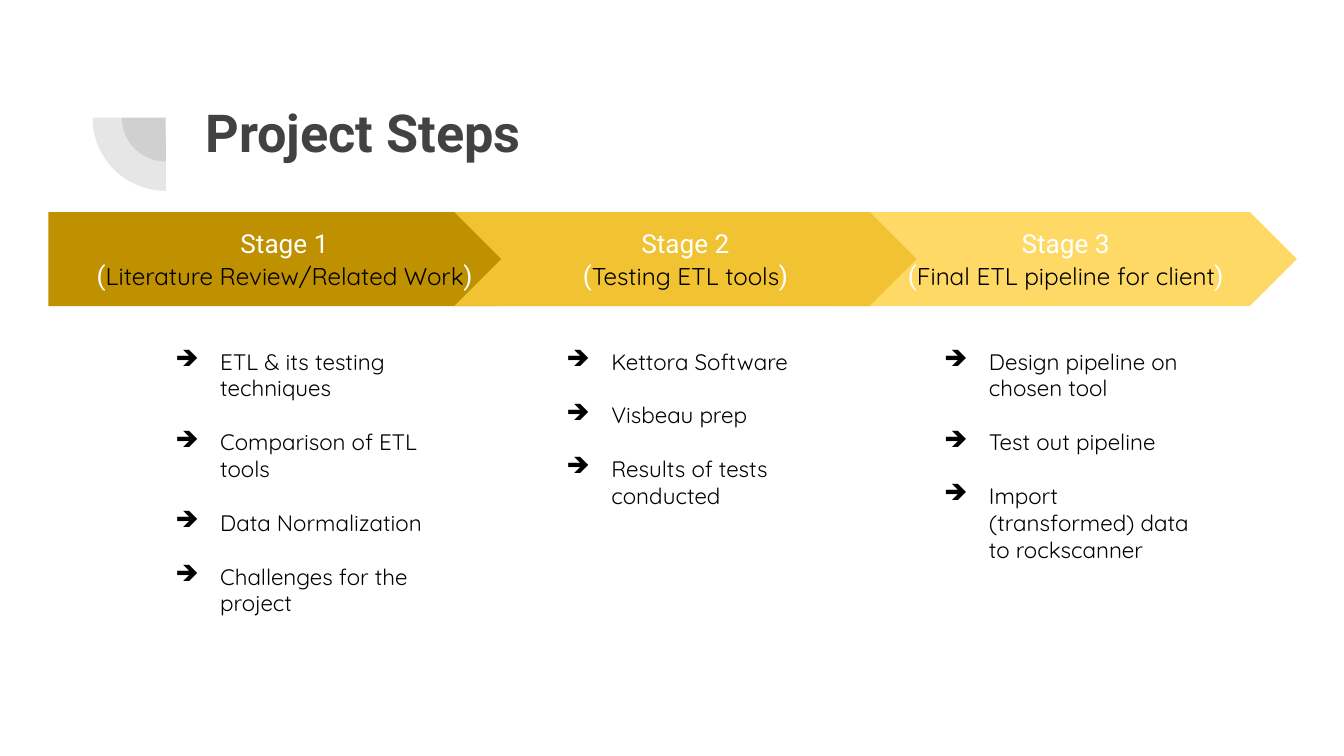
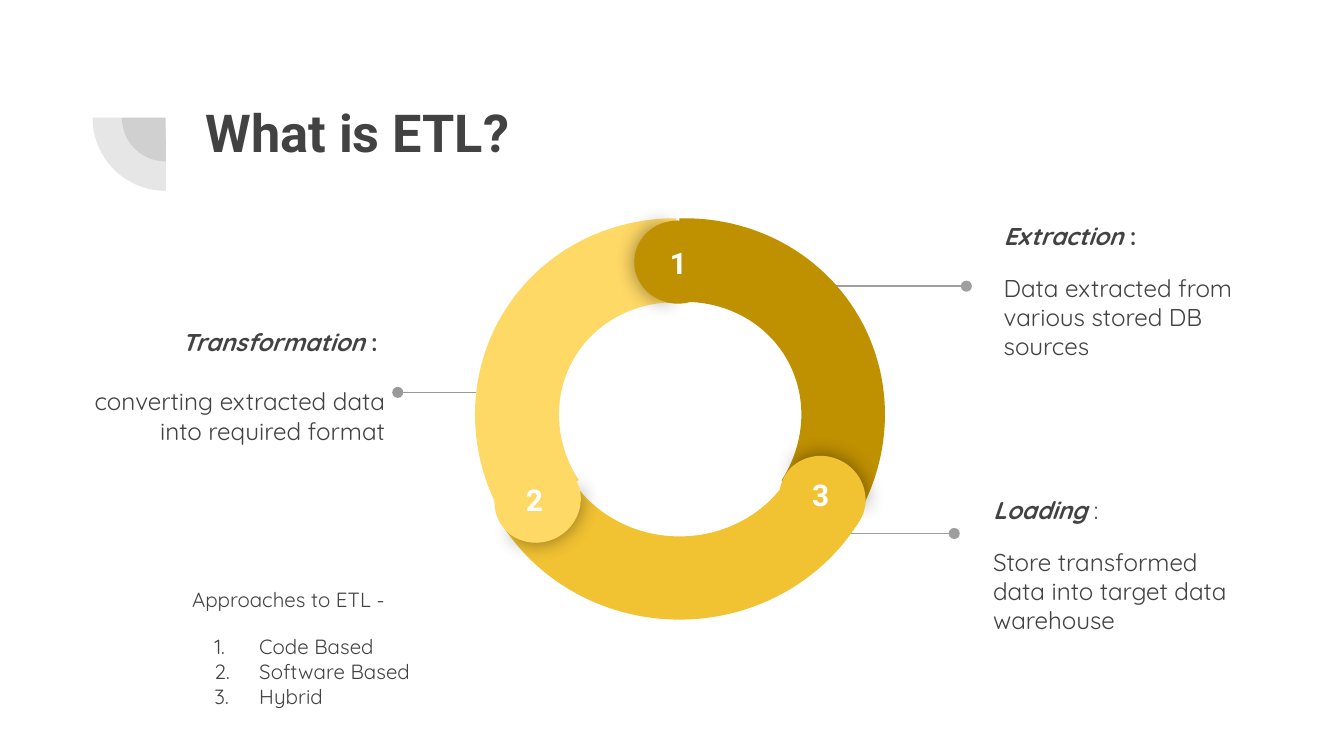
"""Build two slides: the project steps and an overview of ETL."""
import pptx
import pptx.dml.color
import pptx.enum.shapes
import pptx.enum.text
import pptx.oxml.ns
import pptx.util
from lxml import etree

Pt = pptx.util.Pt
RGBColor = pptx.dml.color.RGBColor
SHAPE = pptx.enum.shapes.MSO_SHAPE
ANCHOR = pptx.enum.text.MSO_ANCHOR
ALIGN = pptx.enum.text.PP_ALIGN
qn = pptx.oxml.ns.qn

WHITE = RGBColor(0xFF, 0xFF, 0xFF)
BLACK = RGBColor(0, 0, 0)
CHARCOAL = RGBColor(0x42, 0x42, 0x42)
GRAY = RGBColor(0x9E, 0x9E, 0x9E)
MID_GRAY = RGBColor(0x99, 0x99, 0x99)
DARK_GOLD = RGBColor(0xBF, 0x90, 0x00)
GOLD = RGBColor(0xF1, 0xC2, 0x32)
LIGHT_GOLD = RGBColor(0xFF, 0xD9, 0x66)
HEAD_FONT = "Roboto"
BODY_FONT = "Quicksand"


def sub(parent, tag, **attrs):
    return etree.SubElement(parent, qn(tag), attrs)


def add_shape(s, kind, x, y, w, h, color, rot=0, adj=()):
    sp = s.shapes.add_shape(kind, Pt(x), Pt(y), Pt(w), Pt(h))
    sp.shadow.inherit = False
    sp.fill.solid()
    sp.fill.fore_color.rgb = color
    sp.line.fill.background()
    sp.rotation = rot
    for i, value in enumerate(adj):
        sp.adjustments[i] = value
    return sp


def add_centered(s, kind, cx, cy, w, h, color, rot, adj):
    return add_shape(s, kind, cx - w / 2, cy - h / 2, w, h, color, rot, adj)


def set_frame(sp, anchor):
    tf = sp.text_frame
    tf.word_wrap = True
    tf.vertical_anchor = anchor
    tf.margin_left = tf.margin_right = Pt(7.2)
    tf.margin_top = tf.margin_bottom = Pt(7.2)
    return tf


def add_text(s, x, y, w, h, anchor=ANCHOR.TOP):
    return set_frame(s.shapes.add_textbox(Pt(x), Pt(y), Pt(w), Pt(h)), anchor)


def add_run(p, text, font, size, color, bold=False, italic=False):
    r = p.add_run()
    r.text = text
    r.font.name, r.font.size = font, Pt(size)
    r.font.bold, r.font.italic = bold, italic
    r.font.color.rgb = color


def add_bullet(p, color, tag, **attrs):
    pPr = p._p.get_or_add_pPr()
    pPr.set("marL", str(Pt(36)))
    pPr.set("indent", str(-Pt(24)))
    sub(sub(pPr, "a:buClr"), "a:srgbClr", val=str(color))
    sub(pPr, tag, **attrs)


def heading(s, x, y, text):
    """Place the quarter-circle mark and the title from the mark's left top."""
    for size in (47, 78.5):
        sp = add_centered(s, SHAPE.PIE, x + 39.5, y + 39.25, size, size,
                          CHARCOAL, 270, (107.93, 162))
        color = sp.fill._xPr.find(qn("a:solidFill"))[0]
        sub(color, "a:alpha", val="13000")
    tf = add_text(s, x + 53.7, y + 23, 553.7, 78.5)
    add_run(tf.paragraphs[0], text, HEAD_FONT, 28, CHARCOAL, True)


def stage(s, x, y, w, kind, color, name, detail, list_dx, items):
    """Place one stage arrow with its bullet list below."""
    sp = add_shape(s, kind, x, y, w, 50.4, color, adj=(0.5,))
    tf = set_frame(sp, ANCHOR.MIDDLE)
    p = tf.paragraphs[0]
    p.alignment = ALIGN.CENTER
    add_run(p, name, HEAD_FONT, 14, WHITE)
    p = tf.add_paragraph()
    p.alignment = ALIGN.CENTER
    add_run(p, "(", HEAD_FONT, 14, WHITE)
    add_run(p, detail, BODY_FONT, 13, BLACK)
    add_run(p, ")", HEAD_FONT, 14, WHITE)

    tf = add_text(s, x + list_dx, y + 65.5, 167, 197.3)
    for i, item in enumerate(items):
        p = tf.add_paragraph() if i else tf.paragraphs[0]
        if i:
            p.space_before = Pt(14.4)
        add_bullet(p, BLACK, "a:buChar", char="➔")
        add_run(p, item, BODY_FONT, 12, BLACK)


def callout(s, x, y, w, name, colon, text, line, color=GRAY,
            align=ALIGN.LEFT, indent=36, gap=12, bold_colon=True):
    """Place a heading with its text and a dotted leader; line is (x1, x2, y)."""
    tf = add_text(s, x, y, w, 101.5, ANCHOR.MIDDLE)
    p = tf.paragraphs[0]
    add_run(p, name, BODY_FONT, 13, CHARCOAL, True, True)
    add_run(p, colon, BODY_FONT, 13, CHARCOAL, bold_colon)
    p = tf.add_paragraph()
    p.space_before = p.space_after = Pt(gap)
    add_run(p, text, BODY_FONT, 13, CHARCOAL)
    for p in tf.paragraphs:
        p.alignment = align
        p._p.get_or_add_pPr().set("marL", str(Pt(indent)))

    x1, x2, dy = line
    cn = s.shapes.add_connector(pptx.enum.shapes.MSO_CONNECTOR.STRAIGHT,
                                Pt(x + x1), Pt(y + dy), Pt(x + x2), Pt(y + dy))
    cn.line.color.rgb = color
    cn.line.width = Pt(0.75)
    sub(cn.line._get_or_add_ln(), "a:tailEnd", type="oval")
    sub(cn._element.spPr, "a:effectLst")


def approaches(s, x, y):
    """Place the numbered list of approaches."""
    tf = add_text(s, x, y, 175, 74.2)
    add_run(tf.paragraphs[0], "Approaches to ETL -", BODY_FONT, 11, CHARCOAL)
    for i, item in enumerate(("Code Based", "Software Based", "Hybrid")):
        p = tf.add_paragraph()
        if i == 0:
            p.space_before = Pt(12)
        add_bullet(p, CHARCOAL, "a:buAutoNum", type="arabicPeriod")
        add_run(p, item, BODY_FONT, 11, CHARCOAL)


def cycle(s, x, y):
    """Place the three-part ring, its round caps and its numbers."""
    short, long = 215.3, 223.9
    arcs = (
        (111.2, 111.9, short, long, DARK_GOLD, 60, 197.82, 0.208),
        (112, 110.5, long, short, GOLD, 180, 196.63, 0.207),
        (113.4, 111.9, short, long, LIGHT_GOLD, 300, 197.03, 0.209),
    )
    for cx, cy, w, h, color, rot, end, thick in arcs:
        add_centered(s, SHAPE.BLOCK_ARC, x + cx, y + cy, w, h, color, rot,
                     (126.23, end, thick))

    short, long = 44.6, 46.8
    caps = (
        (36, 154.4, short, long, LIGHT_GOLD, 240.6, 60),
        (111.2, 26.6, long, short, DARK_GOLD, 0.7, 180),
        (188.6, 153, short, long, GOLD, 120.7, 300),
    )
    for cx, cy, w, h, color, shaded_rot, plain_rot in caps:
        sp = add_centered(s, SHAPE.PIE, x + cx, y + cy, w, h, color,
                          shaded_rot, (61.9, 149.96))
        effects = sp._element.spPr.find(qn("a:effectLst"))
        shadow = sub(effects, "a:outerShdw", blurRad=str(Pt(11.2)),
                     dist="0", dir="0", algn="ctr", rotWithShape="0")
        sub(sub(shadow, "a:srgbClr", val=str(BLACK)), "a:alpha", val="43000")
        add_centered(s, SHAPE.PIE, x + cx, y + cy, w, h, color,
                     plain_rot, (40.28, 171.84))

    for number, dx, dy in (("1 ", 92.9, 10), ("2 ", 15.8, 136.8),
                           ("3 ", 169.2, 134.6)):
        p = add_text(s, x + dx, y + dy, 41, 20.9).paragraphs[0]
        p.alignment = ALIGN.CENTER
        add_run(p, number, HEAD_FONT, 16, WHITE, True)


def steps_slide(s):
    """Fill the slide of project steps."""
    heading(s, 49.3, 23.75, "Project Steps")
    top = 113.6
    stage(s, 447.1, top, 247.7, SHAPE.CHEVRON, LIGHT_GOLD, "Stage 3",
          "Final ETL pipeline for client", 39.6,
          ("Design pipeline on chosen tool", "Test out pipeline",
           "Import (transformed) data to rockscanner"))
    stage(s, 25.9, top, 265.7, SHAPE.PENTAGON, DARK_GOLD, "Stage 1",
          "Literature Review/Related Work", 49,
          ("ETL & its testing techniques", "Comparison of ETL tools",
           "Data Normalization", "Challenges for the project"))
    stage(s, 243.4, top, 247.7, SHAPE.CHEVRON, GOLD, "Stage 2",
          "Testing ETL tools", 41,
          ("Kettora Software", "Visbeau prep", "Results of tests conducted"))


def etl_slide(s):
    """Fill the slide that explains ETL."""
    heading(s, 49.3, 23.75, "What is ETL?")
    approaches(s, 95.8, 307.4)
    callout(s, 25.2, 156.2, 187.9, "Transformation ", ": ",
            "converting extracted data into required format",
            (238.3, 187.9, 54), MID_GRAY, ALIGN.RIGHT, 0, 16)
    callout(s, 494.6, 105.1, 190.8, "Extraction ", ":",
            "Data extracted from various stored DB sources",
            (-77.7, 23.1, 48.2))
    callout(s, 488.9, 252, 185.8, "Loading ", ":",
            "Store transformed data into target data warehouse",
            (-78.5, 22.3, 33.8), bold_colon=False)
    cycle(s, 252, 113.8)


def main():
    prs = pptx.Presentation()
    prs.slide_width, prs.slide_height = Pt(720), Pt(405)
    for fill_slide in (steps_slide, etl_slide):
        fill_slide(prs.slides.add_slide(prs.slide_layouts[6]))
    prs.save("out.pptx")


if __name__ == "__main__":
    main()
